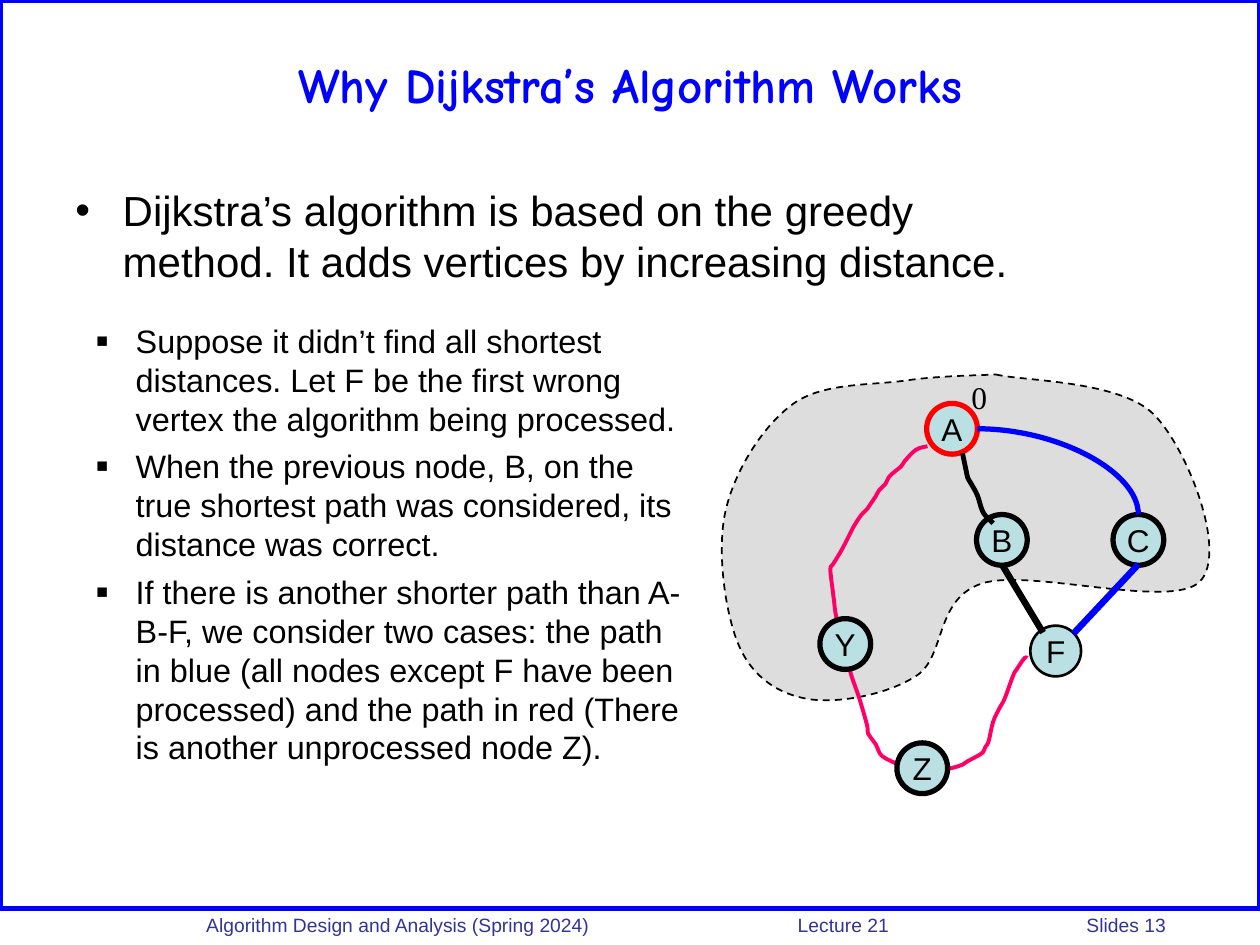
from dataclasses import dataclass

from lxml import etree
from pptx import Presentation
from pptx.dml.color import RGBColor
from pptx.enum import dml, shapes, text
from pptx.oxml import ns
from pptx.util import Pt


@dataclass(frozen=True)
class Theme:
    black: RGBColor = RGBColor(0, 0, 0)
    blue: RGBColor = RGBColor(0, 0, 255)
    red: RGBColor = RGBColor(255, 0, 0)
    pink: RGBColor = RGBColor(255, 0, 102)
    node: RGBColor = RGBColor(0xBB, 0xE0, 0xE3)
    region: RGBColor = RGBColor(0xDD, 0xDD, 0xDD)
    footer: RGBColor = RGBColor(0x33, 0x33, 0x99)
    title_size: float = 28
    body_size: float = 24
    detail_size: float = 18.5
    label_size: float = 18
    footer_size: float = 11


theme = Theme()
presentation = Presentation()
presentation.slide_width, presentation.slide_height = Pt(720), Pt(540)
slide = presentation.slides.add_slide(presentation.slide_layouts[6])


def write(shape, lines, size, color=theme.black, font="Arial", centered=False,
          wrap=True, bullet=None, tabs=()):
    """Fill a shape with paragraphs; bullet is (character, margin, hanging, percent)."""
    frame = shape.text_frame
    frame.word_wrap = wrap
    for index, line in enumerate(lines):
        paragraph = frame.paragraphs[0] if index == 0 else frame.add_paragraph()
        paragraph.text = line
        paragraph.alignment = text.PP_ALIGN.CENTER if centered else text.PP_ALIGN.LEFT
        properties = paragraph._p.get_or_add_pPr()
        if bullet:
            character, margin, hanging, percent = bullet
            if index:
                paragraph.space_before = Pt(5)
            properties.set("marL", str(Pt(margin)))
            properties.set("indent", str(-Pt(hanging)))
            etree.SubElement(properties, ns.qn("a:buSzPct"), val=str(percent * 1000))
            etree.SubElement(properties, ns.qn("a:buFont"), typeface="Arial")
            etree.SubElement(properties, ns.qn("a:buChar"), char=character)
        if tabs:
            tab_list = etree.SubElement(properties, ns.qn("a:tabLst"))
            for position in tabs:
                etree.SubElement(tab_list, ns.qn("a:tab"), pos=str(Pt(position)), algn="l")
        paragraph.font.size = Pt(size)
        paragraph.font.name = font
        paragraph.font.color.rgb = color


def add_smooth_path(points, color, width, closed=False):
    """Draw one Bezier piece between each pair of neighbouring points."""
    builder = slide.shapes.build_freeform(Pt(points[0][0]), Pt(points[0][1]))
    builder.add_line_segments([(Pt(x), Pt(y)) for x, y in points[1:]], close=closed)
    shape = builder.convert_to_shape()
    shape.shadow.inherit = False
    shape.fill.background()
    shape.line.color.rgb = color
    shape.line.width = Pt(width)

    knots = [(int(point.get("x")), int(point.get("y")))
             for point in shape._element.iter(ns.qn("a:pt"))]
    padded = [knots[0], *knots, knots[-1]]
    segments = list(shape._element.iter(ns.qn("a:lnTo")))
    for segment, a, b, c, d in zip(segments, padded, padded[1:], padded[2:], padded[3:]):
        curve = etree.Element(ns.qn("a:cubicBezTo"))
        leaving = [q + (r - p) // 6 for p, q, r in zip(a, b, c)]
        arriving = [r - (s - q) // 6 for q, r, s in zip(b, c, d)]
        for x, y in (leaving, arriving, c):
            etree.SubElement(curve, ns.qn("a:pt"), x=str(x), y=str(y))
        segment.getparent().replace(segment, curve)
    return shape


# Page frame and footer
page_frame = slide.shapes.add_shape(shapes.MSO_SHAPE.RECTANGLE, 0, 0, Pt(720), Pt(519))
page_frame.shadow.inherit = False
page_frame.fill.background()
page_frame.line.color.rgb = theme.blue
page_frame.line.width = Pt(3)

footer = slide.shapes.add_textbox(Pt(110.75), Pt(518.5), Pt(609.25), Pt(19))
write(footer, ["Algorithm Design and Analysis (Spring 2024)\tLecture 21\tSlides 13"],
      theme.footer_size, theme.footer, tabs=(338, 503))

# Title and text
title = slide.shapes.add_textbox(Pt(36), Pt(12), Pt(648), Pt(72))
title.text_frame.vertical_anchor = text.MSO_ANCHOR.MIDDLE
write(title, ["Why Dijkstra’s Algorithm Works"], theme.title_size, theme.blue,
      "Comic Neue", centered=True)
title.text_frame.paragraphs[0].font.bold = True

claim = slide.shapes.add_textbox(Pt(36), Pt(102), Pt(552), Pt(78))
write(claim, ["Dijkstra’s algorithm is based on the greedy method. "
              "It adds vertices by increasing distance."],
      theme.body_size, bullet=("•", 27, 27, 100))

argument = slide.shapes.add_textbox(Pt(12), Pt(180), Pt(390), Pt(318))
write(argument, [
    "Suppose it didn’t find all shortest distances. Let F be the first wrong vertex "
    "the algorithm being processed.",
    "When the previous node, B, on the true shortest path was considered, "
    "its distance was correct.",
    "If there is another shorter path than A-B-F, we consider two cases: the path in blue "
    "(all nodes except F have been processed) and the path in red "
    "(There is another unprocessed node Z).",
], theme.detail_size, bullet=("■", 58.5, 22.5, 60))

# Region of processed nodes
region = add_smooth_path([
    (569, 214), (659.5, 237), (685.5, 332.5), (561, 333.5), (524, 386), (462, 399.5),
    (422.5, 369.5), (414.5, 292.5), (453, 231), (517.5, 217.5), (569, 214),
], theme.black, 1, closed=True)
region.fill.solid()
region.fill.fore_color.rgb = theme.region
region.line.dash_style = dml.MSO_LINE.DASH

# Red path A-Y-Z-F
add_smooth_path([
    (530, 255), (523.5, 257), (517, 263.5), (515, 266.5), (508.5, 272), (506, 276.5),
    (502.5, 280), (500.5, 283.5), (497.5, 288), (495.5, 291), (492, 294.5),
    (487.5, 301.5), (485.5, 305.5), (483, 310.5), (480, 316), (476, 322.5),
    (474.5, 325.5), (476, 338.5), (476.5, 342.5), (478, 353), (482.5, 367),
    (484.5, 378), (486.5, 386), (491, 399), (495.5, 414.5), (496, 419),
    (500.5, 425.5), (504, 432), (513.5, 437), (517, 439), (523.5, 441.5),
    (526.5, 443), (530.5, 441.5), (543.5, 439), (550, 437), (553, 435),
    (561, 430.5), (563, 427), (565, 423.5), (567.5, 412.5), (571.5, 404),
    (574, 399.5), (579, 386), (581, 382.5), (585.5, 376), (587, 376),
], theme.pink, 2.25)

# Nodes
diameter = 29
for name, left, top, outline, width in (
    ("A", 529.5, 230.5, theme.red, 3),
    ("B", 558, 294, theme.black, 3),
    ("C", 636, 294, theme.black, 3),
    ("F", 588.75, 357.5, theme.black, 1.5),
    ("Y", 468.5, 353.5, theme.black, 3),
    ("Z", 512.5, 424.5, theme.black, 3),
):
    node = slide.shapes.add_shape(shapes.MSO_SHAPE.OVAL, Pt(left), Pt(top),
                                  Pt(diameter), Pt(diameter))
    node.shadow.inherit = False
    node.fill.solid()
    node.fill.fore_color.rgb = theme.node
    node.line.color.rgb = outline
    node.line.width = Pt(width)
    node.text_frame.vertical_anchor = text.MSO_ANCHOR.MIDDLE
    write(node, [name], theme.label_size, centered=True, wrap=False)

distance = slide.shapes.add_textbox(Pt(548), Pt(212.5), Pt(23), Pt(29))
write(distance, ["0"], theme.label_size, font="Times New Roman", centered=True, wrap=False)

# Edges A-C, C-F and B-F
for kind, start_x, start_y, end_x, end_y, color, width in (
    (shapes.MSO_CONNECTOR.CURVE, 558.5, 245, 650.5, 294, theme.blue, 3),
    (shapes.MSO_CONNECTOR.STRAIGHT, 613.5, 362, 650.5, 322.5, theme.blue, 3.75),
    (shapes.MSO_CONNECTOR.STRAIGHT, 596, 361.5, 572.5, 322.5, theme.black, 3.75),
):
    edge = slide.shapes.add_connector(kind, Pt(start_x), Pt(start_y), Pt(end_x), Pt(end_y))
    edge.line.color.rgb = color
    edge.line.width = Pt(width)
    properties = edge._element.spPr
    etree.SubElement(properties, ns.qn("a:effectLst"))
    if kind == shapes.MSO_CONNECTOR.CURVE:
        properties.find(ns.qn("a:prstGeom")).set("prst", "curvedConnector2")

# Path A-B
add_smooth_path([
    (550, 259), (552, 268.5), (553, 273), (555, 276.5), (558.5, 283),
    (561, 291), (563, 294.5), (566, 297.5), (567.5, 299),
], theme.black, 2.75)

presentation.save("out.pptx")
